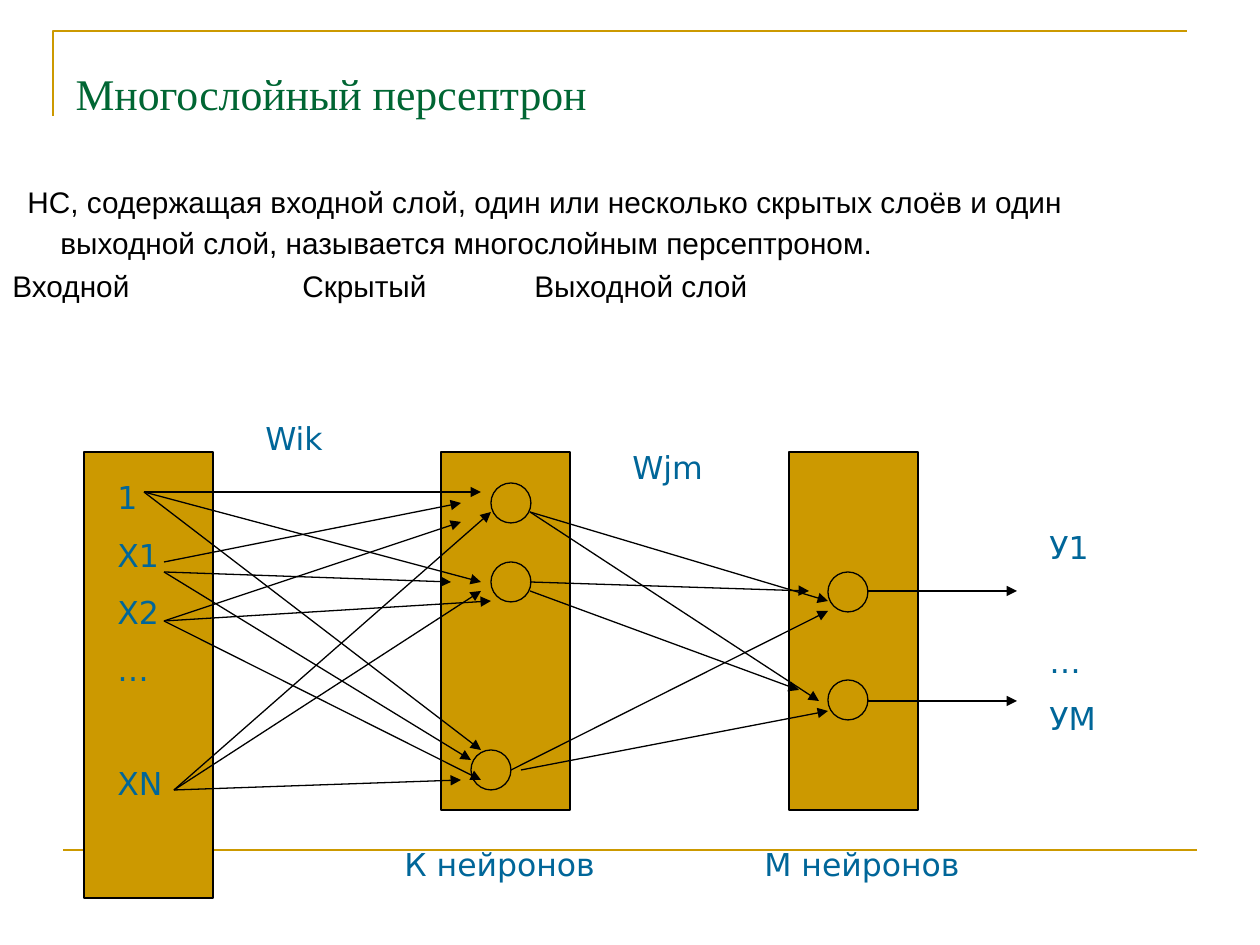
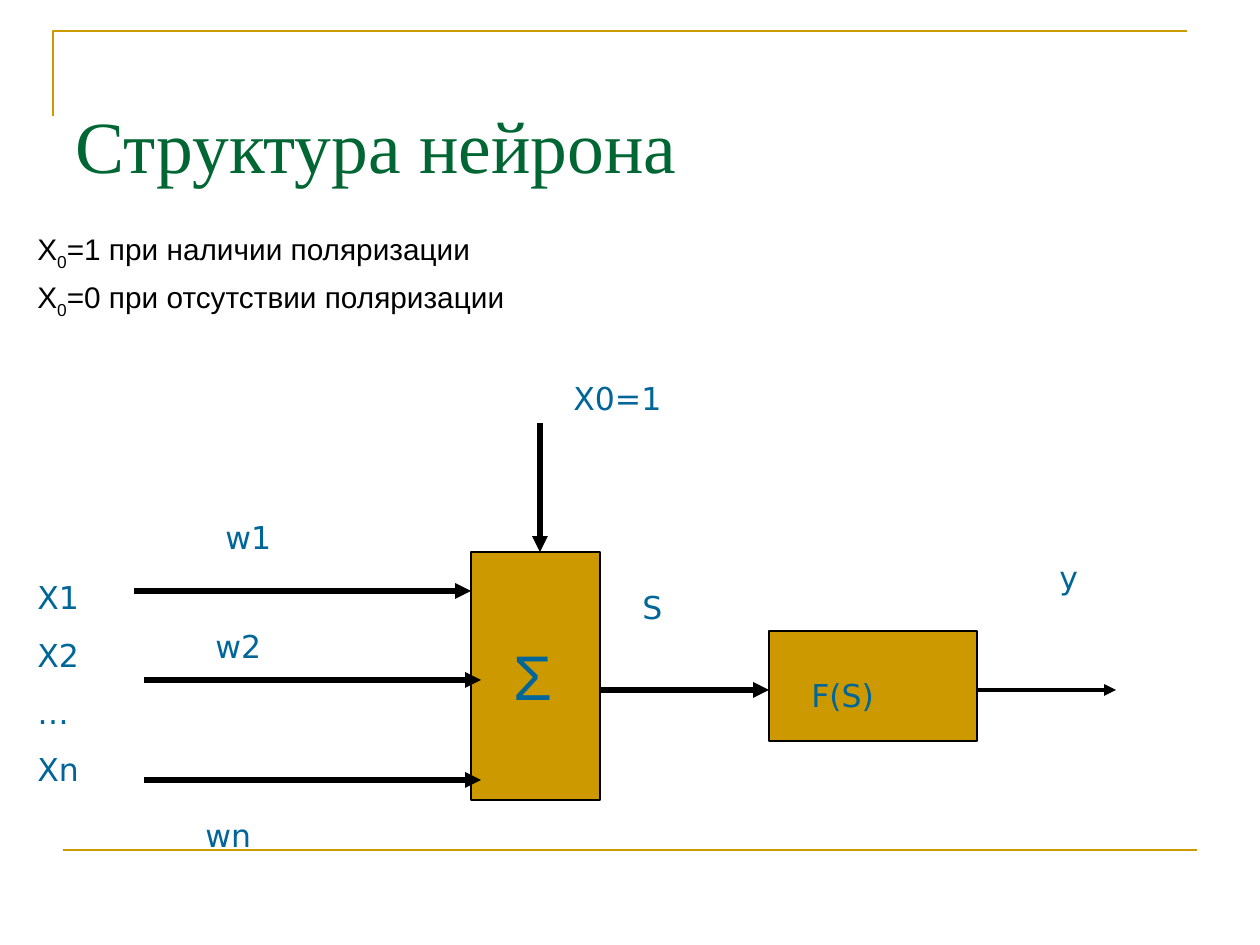
from dataclasses import dataclass
from typing import Any

from lxml.etree import SubElement
from pptx import Presentation
from pptx.dml.color import RGBColor
from pptx.enum.shapes import MSO_CONNECTOR as Link, MSO_SHAPE as Shape
from pptx.enum.text import MSO_ANCHOR as Anchor
from pptx.oxml.ns import qn
from pptx.util import Emu, Pt

SCALE = 914400 / 126
GOLD, GREEN, BLUE, BLACK = "CC9900", "006633", "006699", "000000"
SERIF, SANS, LABEL = "Times New Roman", "Arial", "DejaVu Sans"
GAP = 11.2
WIDE_GAP = 43.4


def px(n):
    return Emu(round(n * SCALE))


def rgb(hue):
    return RGBColor.from_string(hue)


def style(para, face, size, hue):
    para.font.name = face
    para.font.size = Pt(size)
    para.font.color.rgb = rgb(hue)


def set_tabs(para, stops):
    tabs = SubElement(para._p.get_or_add_pPr(), qn("a:tabLst"))
    for stop in stops:
        SubElement(tabs, qn("a:tab"), pos=str(px(stop)), algn="l")


def set_line(shape, hue, width):
    shape.line.color.rgb = rgb(hue)
    shape.line.width = Pt(width)


@dataclass
class Area:
    """A region of a slide; every length given to it counts from its corner."""
    slide: Any
    left: int
    top: int

    def place(self, x, y):
        return px(self.left + x), px(self.top + y)

    def block(self, x, y, w, h, kind=Shape.RECTANGLE):
        shape = self.slide.shapes.add_shape(kind, *self.place(x, y), px(w), px(h))
        shape.shadow.inherit = False
        shape.fill.solid()
        shape.fill.fore_color.rgb = rgb(GOLD)
        set_line(shape, BLACK, 0.75)

    def frame(self, x, y, w, h):
        box = self.slide.shapes.add_textbox(*self.place(x, y), px(w), px(h))
        box.text_frame.word_wrap = True
        return box.text_frame

    def label(self, x, y, w, h, *lines, wide=None, tabs=(), face=LABEL, size=18):
        """Stack lines; the line numbered wide stands one row lower."""
        frame = self.frame(x, y, w, h)
        for i, line in enumerate(lines):
            para = frame.paragraphs[0] if i == 0 else frame.add_paragraph()
            para.text = line
            if i:
                para.space_before = Pt(WIDE_GAP if i == wide else GAP)
            if tabs:
                set_tabs(para, tabs)
            style(para, face, size, BLUE)

    def line(self, start, end, hue=BLACK, width=0.75, arrow=True):
        link = self.slide.shapes.add_connector(
            Link.STRAIGHT, *self.place(*start), *self.place(*end))
        set_line(link, hue, width)
        if arrow:
            SubElement(link.line._get_or_add_ln(), qn("a:tailEnd"), type="triangle")
        SubElement(link._element.spPr, qn("a:effectLst"))


def add_base(deck, title, height, size):
    """Add a slide with its gold rules and its title."""
    slide = deck.slides.add_slide(deck.slide_layouts[5])
    head = slide.shapes.title
    head.left, head.top, head.width, head.height = map(px, (63, 38, 1134, height))
    head.text_frame.text = title
    head.text_frame.word_wrap = True
    head.text_frame.vertical_anchor = Anchor.BOTTOM
    para = head.text_frame.paragraphs[0]
    para.alignment = 1
    style(para, SERIF, size, GREEN)

    pen = slide.shapes.build_freeform(53, 116, scale=SCALE)
    pen.add_line_segments([(53, 31), (1187, 31)], close=False)
    corner = pen.convert_to_shape()
    corner.shadow.inherit = False
    corner.fill.background()
    set_line(corner, GOLD, 1.5)
    Area(slide, 63, 850).line((0, 0), (1134, 0), GOLD, 1.5, arrow=False)
    return slide


def add_intro(area):
    frame = area.frame(0, 0, 1197, 140)
    text = frame.paragraphs[0]
    text.text = ("НС, содержащая входной слой, один или несколько скрытых слоёв "
                 "и один выходной слой, называется многослойным персептроном.")
    text.line_spacing = Pt(23.4)
    props = text._p.get_or_add_pPr()
    props.set("marL", str(px(48)))
    props.set("indent", str(px(-33)))
    heads = frame.add_paragraph()
    heads.text = "Входной\tСкрытый\tВыходной слой"
    heads.space_before = Pt(4.2)
    set_tabs(heads, (290, 522))
    for para in (text, heads):
        style(para, SANS, 17, BLACK)


def add_net(area):
    for x, h in ((0, 446), (357, 358), (705, 358)):
        area.block(x, 0, 129, h)
    area.label(21, 20, 79, 396, "1", "Х1", "Х2", "…", "ХN", wide=4)
    for x, y in ((407, 31), (407, 110), (387, 298), (744, 120), (744, 228)):
        area.block(x, y, 40, 40, Shape.OVAL)
    fans = {
        (60, 40): [(397, 40), (397, 130), (397, 298)],
        (80, 110): [(377, 51)],
        (80, 120): [(367, 130), (387, 308)],
        (80, 169): [(377, 70), (407, 149), (397, 328)],
        (90, 338): [(377, 328), (397, 139), (407, 60)],
        (446, 60): [(744, 149), (735, 249)],
        (446, 130): [(725, 139)],
        (446, 139): [(715, 238)],
        (427, 318): [(744, 159)],
        (437, 318): [(744, 259)],
        (784, 139): [(933, 139)],
        (784, 249): [(933, 249)],
    }
    for start, ends in fans.items():
        for end in ends:
            area.line(start, end)
    area.label(169, -39, 100, 50, "Wik")
    area.label(536, -10, 110, 50, "Wjm")
    area.label(953, 70, 110, 223, "У1", "…", "УМ", wide=1)
    area.label(308, 387, 684, 50, "К нейронов\tМ нейронов", tabs=(360,))


def add_cases(area):
    frame = area.frame(0, 0, 1200, 110)
    cases = ("=1 при наличии поляризации", "=0 при отсутствии поляризации")
    for i, case in enumerate(cases):
        para = frame.add_paragraph() if i else frame.paragraphs[0]
        if i:
            para.space_before = Pt(4.2)
        style(para, SANS, 17, BLACK)
        for part in ("Х", "0", case):
            run = para.add_run()
            run.text = part
            if part == "0":
                run._r.get_or_add_rPr().set("baseline", "-25000")


def add_neuron(area):
    area.block(446, 179, 129, 248)
    area.block(744, 258, 208, 110)
    for start, end, width in (
        ((109, 218), (446, 218), 3),
        ((119, 307), (456, 307), 3),
        ((119, 407), (456, 407), 3),
        ((515, 50), (515, 179), 3),
        ((575, 317), (744, 317), 3),
        ((953, 317), (1091, 317), 2.25),
    ):
        area.line(start, end, width=width)
    area.label(476, 258, 79, 88, "Σ", face=SANS, size=36)
    area.label(0, 199, 100, 223, "Х1", "Х2", "…", "Хn")
    for x, y, w, text in (
        (536, 0, 129, "Х0=1"),
        (774, 297, 149, "F(S)"),
        (188, 139, 118, "w1"),
        (178, 248, 159, "w2"),
        (168, 437, 179, "wn"),
        (605, 209, 79, "S"),
        (1022, 179, 100, "y"),
    ):
        area.label(x, y, w, 50, text)


def main():
    deck = Presentation()
    deck.slide_width, deck.slide_height = px(1260), px(945)

    slide = add_base(deck, "Многослойный персептрон", 88, 25)
    add_intro(Area(slide, 0, 172))
    add_net(Area(slide, 84, 452))

    slide = add_base(deck, "Структура нейрона", 157, 42)
    add_cases(Area(slide, 25, 225))
    add_neuron(Area(slide, 25, 373))

    deck.save("out.pptx")


if __name__ == "__main__":
    main()
